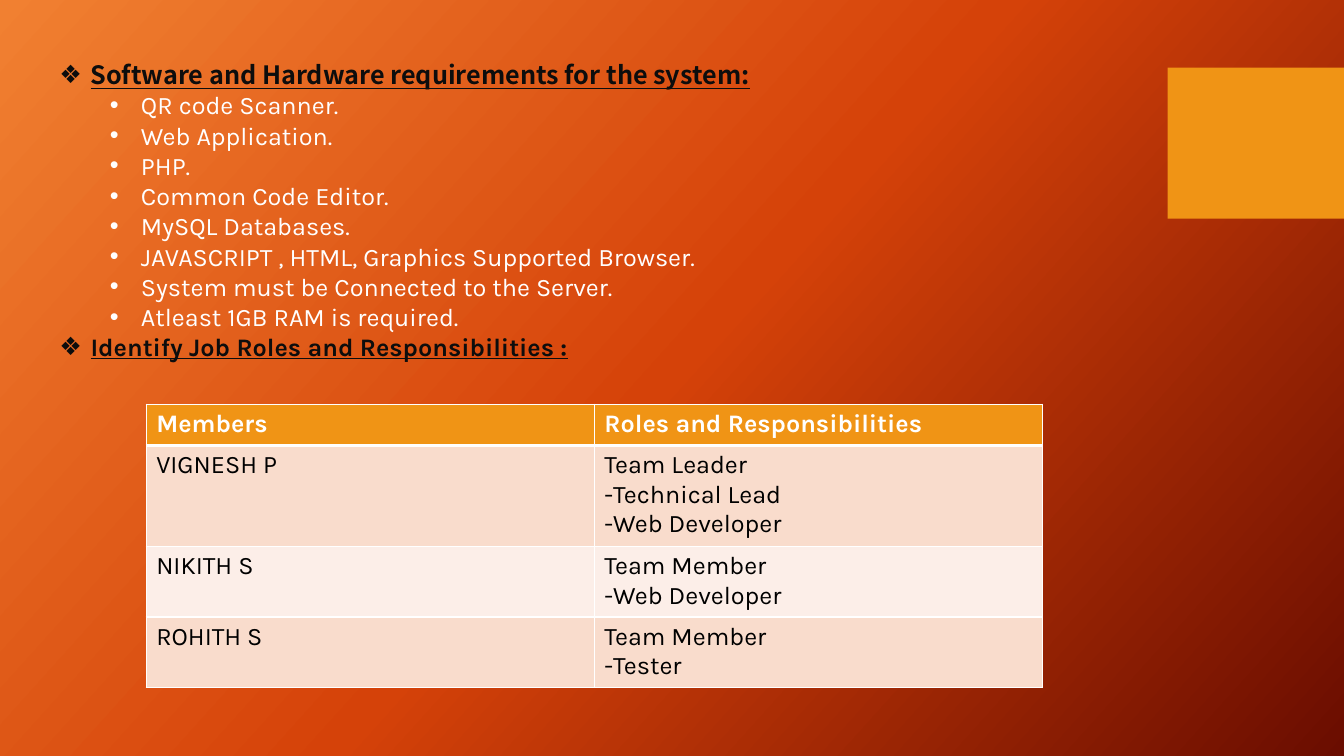
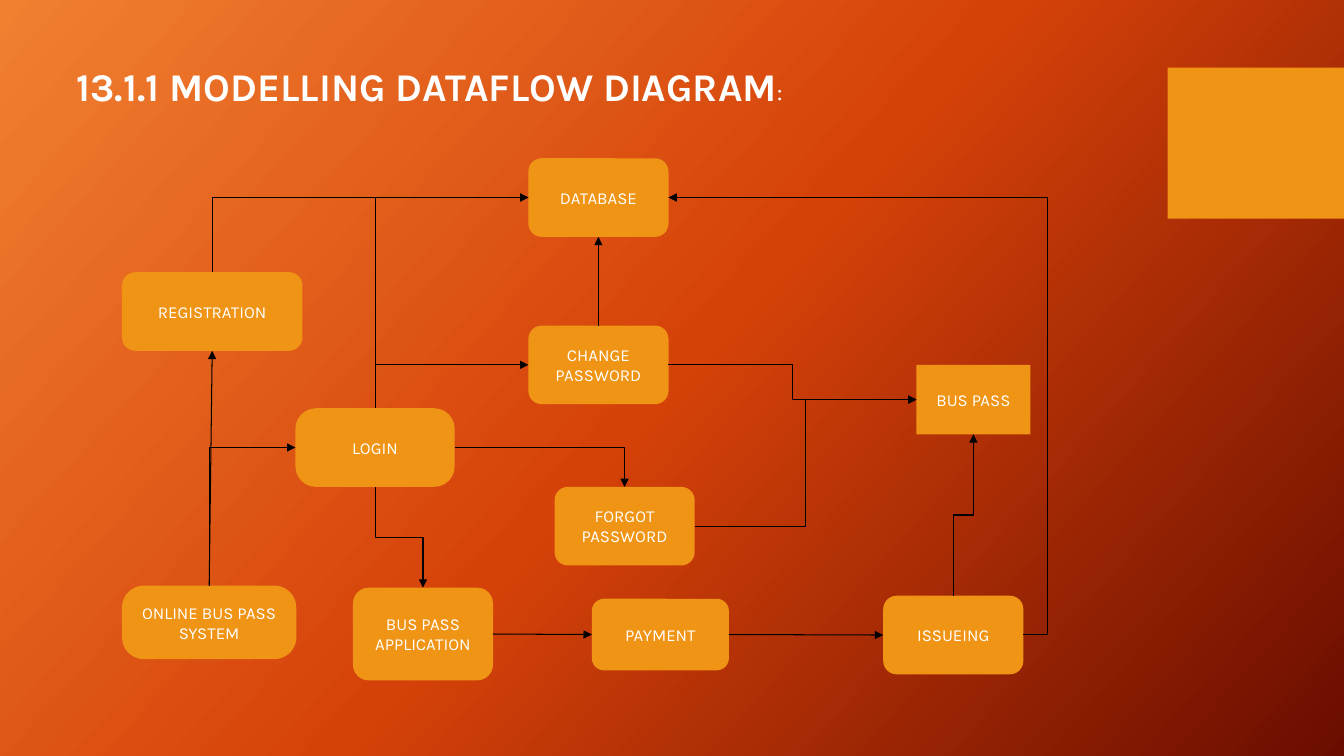
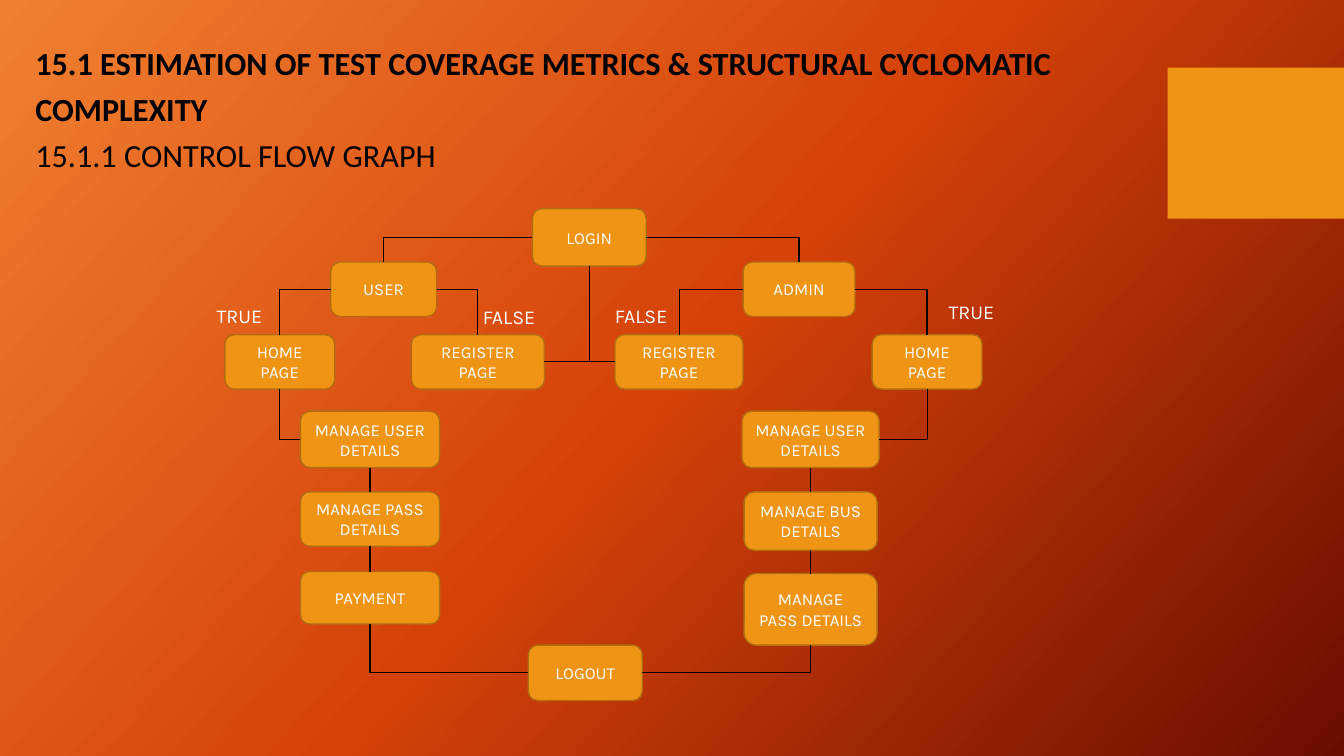
from lxml.etree import SubElement
from copy import deepcopy
from pptx import Presentation
from pptx.dml.color import RGBColor
from pptx.enum.shapes import MSO_CONNECTOR, MSO_SHAPE
from pptx.enum.text import MSO_ANCHOR, MSO_AUTO_SIZE, PP_ALIGN
from pptx.oxml.ns import qn
from pptx.util import Inches, Pt

ORANGE, EDGE, WHITE, BLACK, INK = "F09415", "B26D10", "FFFFFF", "000000", "0D0D0D"
ROW_TINTS = ["F9DCCC", "FCEEE8"]
BACKDROP = [(0, "F18031"), (0.5, "D54209"), (1, "6A0D00")]
TOP, LEFT, BOTTOM, RIGHT = range(4)


def colour(code):
    return RGBColor.from_string(code)


def add_span(para, text, size, shade=WHITE, bold=False, underline=False, face="Karla"):
    span = para.add_run()
    span.text = text
    font = span.font
    font.size, font.name, font.bold, font.underline = Pt(size), face, bold, underline
    font.color.rgb = colour(shade)


deck = Presentation()
deck.slide_width, deck.slide_height = Inches(13.33), Inches(7.5)
unit = deck.slide_height / 7.5
blank, title_only = deck.slide_layouts[6], deck.slide_layouts[5]
pages = [deck.slides.add_slide(layout) for layout in (blank, title_only, title_only)]

master = deck.slide_master
backdrop = master.background.fill
backdrop.gradient()
backdrop.gradient_angle = 318
stop_list = master._element.find(".//" + qn("a:gsLst"))
stop_list.append(deepcopy(stop_list[-1]))
for stop, (position, shade) in zip(backdrop.gradient_stops, BACKDROP):
    stop.position = position
    stop.color.rgb = colour(shade)

band = pages[0].shapes.add_shape(
    MSO_SHAPE.RECTANGLE, *[round(unit * n) for n in (11.58, 0.67, 1.75, 1.5)])
band.shadow.inherit = False
band.fill.solid()
band.fill.fore_color.rgb = colour(ORANGE)
band.line.fill.background()
band._element.nvSpPr.cNvPr.set("id", "20")
master.shapes._spTree.append(band._element)

requirements = [
    (0, "Software and Hardware requirements for the system:", "Noto Sans CJK TC"),
    (1, "QR code Scanner.", "Karla"),
    (1, "Web Application.", "Karla"),
    (1, "PHP.", "Karla"),
    (1, "Common Code Editor.", "Karla"),
    (1, "MySQL Databases.", "Karla"),
    (1, "JAVASCRIPT , HTML, Graphics Supported Browser.", "Karla"),
    (1, "System must be Connected to the Server.", "Karla"),
    (1, "Atleast 1GB RAM is required.", "Karla"),
    (0, "Identify Job Roles and Responsibilities :", "Karla"),
]
box = pages[0].shapes.add_textbox(*[round(unit * n) for n in (0.49, 0.54, 8.31, 3.13)])
frame = box.text_frame
frame.word_wrap = True
for index, (level, text, face) in enumerate(requirements):
    para = frame.paragraphs[0] if index == 0 else frame.add_paragraph()
    para.level = level
    properties = para._p.get_or_add_pPr()
    properties.set("marL", str(Inches(0.31 + level * 0.5)))
    properties.set("indent", str(-Inches(0.31)))
    SubElement(properties, qn("a:buFont")).set("typeface", "Arial")
    SubElement(properties, qn("a:buChar")).set("char", "❖•"[level])
    heading = level == 0
    add_span(para, text, 18, INK if heading else WHITE, heading, heading, face)

roles = [
    (0.41, ["Members"], ["Roles and Responsibilities"]),
    (1, ["VIGNESH P"], ["Team Leader", "-Technical Lead", "-Web Developer"]),
    (0.7, ["NIKITH S"], ["Team Member", "-Web Developer"]),
    (0.7, ["ROHITH S"], ["Team Member", "-Tester"]),
]
table = pages[0].shapes.add_table(
    len(roles), 2, *[round(unit * n) for n in (1.45, 4.01, 8.89, 2.81)]).table
table.horz_banding = False
for row, (height, *entries) in enumerate(roles):
    table.rows[row].height = round(unit * height)
    header = row == 0
    for column, lines in enumerate(entries):
        cell = table.cell(row, column)
        for index, text in enumerate(lines):
            frame = cell.text_frame
            para = frame.paragraphs[0] if index == 0 else frame.add_paragraph()
            add_span(para, text, 18, WHITE if header else BLACK, header)
        properties = cell._tc.get_or_add_tcPr()
        for side in ("lnL", "lnR", "lnT", "lnB"):
            thick = (header and side == "lnB") or (row == 1 and side == "lnT")
            border = SubElement(properties, qn("a:" + side), w=str(Pt(3 if thick else 1)))
            fill = SubElement(border, qn("a:solidFill"))
            SubElement(fill, qn("a:srgbClr")).set("val", WHITE)
        cell.fill.solid()
        cell.fill.fore_color.rgb = colour(ORANGE if header else ROW_TINTS[(row - 1) % 2])

titles = [
    (pages[1], (0.66, 0.57, 9.04, 0.57), 1,
     [("13.1.1 MODELLING DATAFLOW DIAGRAM", 28, WHITE, True, False, "Karla"),
      (":", 18, WHITE, False, False, "Karla")]),
    (pages[2], (0.25, 0.3, 10.51, 1.48), 1.2,
     [("15.1 ESTIMATION OF TEST COVERAGE METRICS & STRUCTURAL CYCLOMATIC COMPLEXITY",
       23, BLACK, True, False, "Calibri"),
      None,
      ("15.1.1 CONTROL FLOW GRAPH", 23, BLACK, False, False, "Calibri")]),
]
for page, place, spacing, spans in titles:
    title = page.shapes.title
    title.left, title.top, title.width, title.height = [round(unit * n) for n in place]
    frame = title.text_frame
    frame.word_wrap = True
    frame.auto_size = MSO_AUTO_SIZE.NONE
    frame.vertical_anchor = MSO_ANCHOR.TOP
    para = frame.paragraphs[0]
    para.alignment = PP_ALIGN.LEFT
    para.line_spacing = spacing
    for span in spans:
        if span:
            add_span(para, *span)
        else:
            para.add_line_break()

dataflow_nodes = [
    ("database", "DATABASE", 5.24, 1.57, 1.39, 0.78, 0.17),
    ("application", "BUS PASS APPLICATION", 3.5, 5.83, 1.39, 0.92, 0.17),
    ("login", "LOGIN", 2.93, 4.05, 1.58, 0.78, 0.26),
    ("forgot", "FORGOT PASSWORD", 5.5, 4.83, 1.39, 0.78, 0.17),
    ("registration", "REGISTRATION", 1.21, 2.7, 1.79, 0.78, 0.17),
    ("change", "CHANGE PASSWORD", 5.24, 3.23, 1.39, 0.78, 0.17),
    ("issueing", "ISSUEING", 8.76, 5.91, 1.39, 0.78, 0.17),
    ("pass", "BUS PASS", 9.09, 3.62, 1.13, 0.69, 0),
    ("system", "ONLINE BUS PASS SYSTEM", 1.21, 5.81, 1.73, 0.73, 0.3),
    ("payment", "PAYMENT", 5.87, 5.94, 1.36, 0.71, 0.17),
]
dataflow_links = [
    ("system", TOP, "registration", BOTTOM),
    ("system", TOP, "login", LEFT),
    ("registration", TOP, "database", LEFT),
    ("login", TOP, "database", LEFT),
    ("login", TOP, "change", LEFT),
    ("change", TOP, "database", BOTTOM),
    ("login", BOTTOM, "application", TOP),
    ("login", RIGHT, "forgot", TOP),
    ("application", RIGHT, "payment", LEFT),
    ("forgot", RIGHT, "pass", LEFT),
    ("change", RIGHT, "pass", LEFT),
    ("issueing", RIGHT, "database", RIGHT),
    ("payment", RIGHT, "issueing", LEFT),
    ("issueing", TOP, "pass", BOTTOM),
]
control_nodes = [
    ("login", "LOGIN", 5.28, 2.07, 1.13, 0.57, 0.17),
    ("user", "USER", 3.28, 2.6, 1.05, 0.54, 0.17),
    ("admin", "ADMIN", 7.37, 2.6, 1.11, 0.54, 0.17),
    ("user home", "HOME PAGE", 2.23, 3.32, 1.09, 0.54, 0.17),
    ("user register", "REGISTER PAGE", 4.08, 3.32, 1.32, 0.54, 0.17),
    ("user details", "MANAGE USER DETAILS", 2.98, 4.08, 1.38, 0.56, 0.17),
    ("admin details", "MANAGE USER DETAILS", 7.36, 4.08, 1.36, 0.56, 0.17),
    ("user passes", "MANAGE PASS DETAILS", 2.98, 4.88, 1.38, 0.54, 0.17),
    ("payment", "PAYMENT", 2.98, 5.67, 1.38, 0.52, 0.17),
    ("buses", "MANAGE BUS DETAILS", 7.38, 4.88, 1.32, 0.58, 0.17),
    ("admin passes", "MANAGE PASS DETAILS", 7.38, 5.69, 1.32, 0.71, 0.17),
    ("logout", "LOGOUT", 5.24, 6.4, 1.13, 0.55, 0.17),
    ("admin home", "HOME PAGE", 8.65, 3.32, 1.09, 0.54, 0.17),
    ("admin register", "REGISTER PAGE", 6.1, 3.32, 1.27, 0.54, 0.17),
]
control_links = [
    ("login", LEFT, "user", TOP),
    ("user", LEFT, "user home", TOP),
    ("user", RIGHT, "user register", TOP),
    ("user home", BOTTOM, "user details", LEFT),
    ("user details", BOTTOM, "user passes", TOP),
    ("user passes", BOTTOM, "payment", TOP),
    ("login", RIGHT, "admin", TOP),
    ("user register", RIGHT, "login", BOTTOM),
    ("admin register", LEFT, "login", BOTTOM),
    ("admin register", TOP, "admin", LEFT),
    ("admin home", TOP, "admin", RIGHT),
    ("admin details", RIGHT, "admin home", BOTTOM),
    ("admin details", BOTTOM, "buses", TOP),
    ("buses", BOTTOM, "admin passes", TOP),
    ("payment", BOTTOM, "logout", LEFT),
    ("admin passes", BOTTOM, "logout", RIGHT),
]
diagrams = [
    (pages[1], dataflow_nodes, dataflow_links, None, True),
    (pages[2], control_nodes, control_links, EDGE, False),
]
for page, nodes, links, outline, arrows in diagrams:
    shapes = {}
    for name, text, left, top, width, height, corner in nodes:
        kind = MSO_SHAPE.ROUNDED_RECTANGLE if corner else MSO_SHAPE.RECTANGLE
        node = page.shapes.add_shape(
            kind, *[round(unit * n) for n in (left, top, width, height)])
        if corner:
            node.adjustments[0] = corner
        node.shadow.inherit = False
        node.fill.solid()
        node.fill.fore_color.rgb = colour(ORANGE)
        if outline:
            node.line.color.rgb = colour(outline)
            node.line.width = Pt(1)
        else:
            node.line.fill.background()
        frame = node.text_frame
        frame.word_wrap = True
        frame.vertical_anchor = MSO_ANCHOR.MIDDLE
        frame.paragraphs[0].alignment = PP_ALIGN.CENTER
        add_span(frame.paragraphs[0], text, 12)
        shapes[name] = node

    for source, source_side, target, target_side in links:
        link = page.shapes.add_connector(MSO_CONNECTOR.STRAIGHT, 0, 0, 0, 0)
        link.begin_connect(shapes[source], source_side)
        link.end_connect(shapes[target], target_side)
        across, down = link.end_x - link.begin_x, link.end_y - link.begin_y
        if min(abs(across), abs(down)) > unit * 0.05:
            middle_x = (link.begin_x + link.end_x) / 2
            middle_y = (link.begin_y + link.end_y) / 2
            upright = source_side in (TOP, BOTTOM)
            same_axis = source_side % 2 == target_side % 2
            geometry = link._element.spPr.find(qn("a:prstGeom"))
            geometry.set("prst", "bentConnector3" if same_axis else "bentConnector2")
            if source_side == target_side:
                guide = SubElement(geometry.find(qn("a:avLst")), qn("a:gd"), name="adj1")
                guide.set("fmla", f"val {round(-0.24 * unit / abs(across) * 100000)}")
            length, depth = (down, -across) if upright else (across, down)
            link.width, link.height = abs(length), abs(depth)
            link.left = round(middle_x - abs(length) / 2)
            link.top = round(middle_y - abs(depth) / 2)
            frame = link._element.spPr.find(qn("a:xfrm"))
            frame.set("rot", "5400000" if upright else "0")
            frame.set("flipH", str(int(length < 0)))
            frame.set("flipV", str(int(depth < 0)))
        link.line.color.rgb = colour(BLACK)
        link.line.width = Pt(0.75)
        if arrows:
            SubElement(link.line._get_or_add_ln(), qn("a:tailEnd")).set("type", "triangle")
        SubElement(link._element.spPr, qn("a:effectLst"))

branches = [("TRUE", 2.05, 2.97), ("TRUE", 9.31, 2.93),
            ("FALSE", 6, 2.97), ("FALSE", 4.69, 2.98)]
for text, left, top in branches:
    box = pages[2].shapes.add_textbox(*[round(unit * n) for n in (left, top, 0.9, 0.34)])
    box.text_frame.word_wrap = True
    add_span(box.text_frame.paragraphs[0], text, 14)

deck.save("out.pptx")
